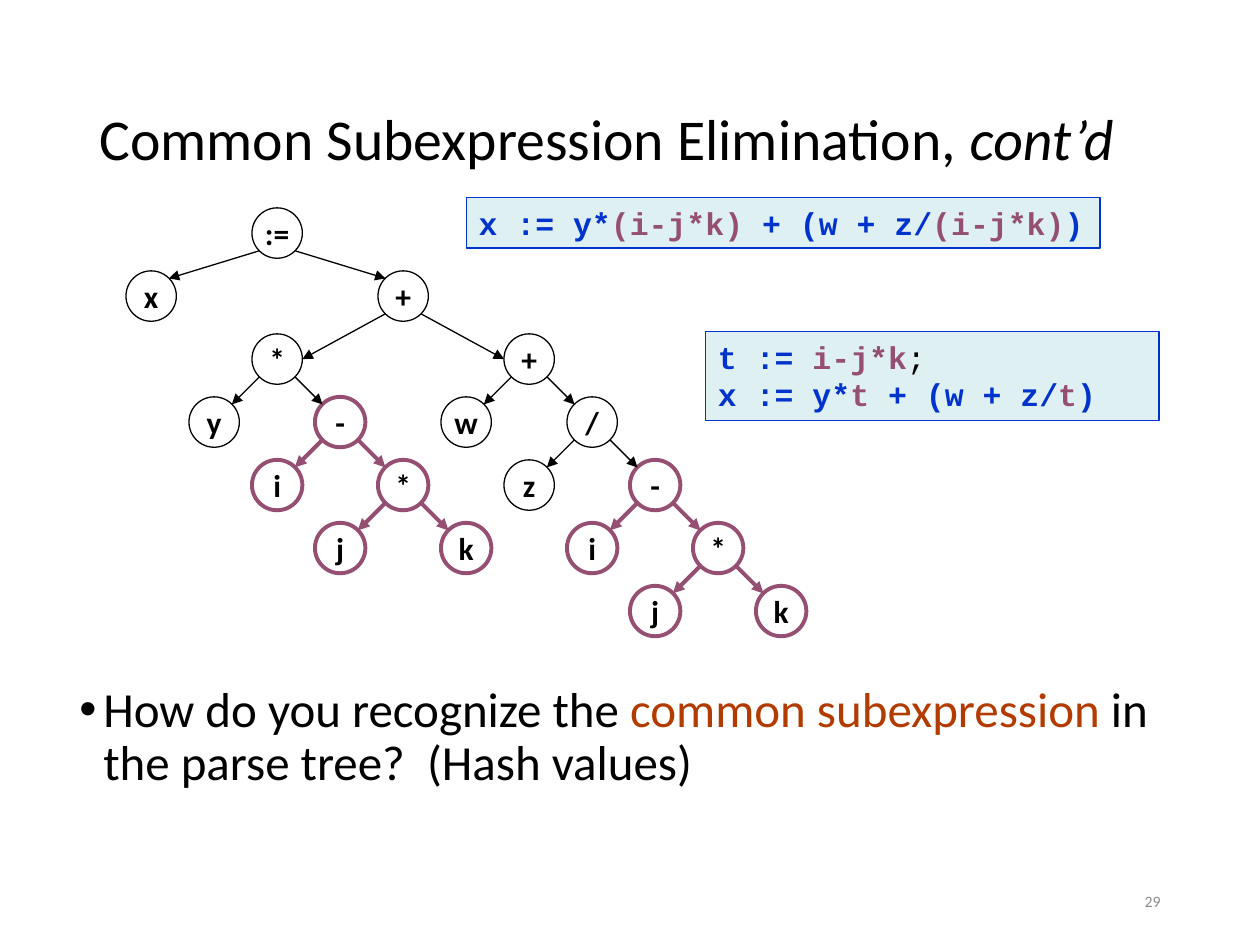
from lxml import etree
from pptx import Presentation
from pptx.dml.color import RGBColor
from pptx.enum.shapes import MSO_CONNECTOR, MSO_SHAPE
from pptx.enum.text import MSO_ANCHOR, MSO_AUTO_SIZE, PP_ALIGN
from pptx.oxml.ns import qn
from pptx.util import Inches, Pt

OVAL, RECTANGLE = MSO_SHAPE.OVAL, MSO_SHAPE.RECTANGLE
STRAIGHT = MSO_CONNECTOR.STRAIGHT
TOP, MIDDLE = MSO_ANCHOR.TOP, MSO_ANCHOR.MIDDLE
LEFT, CENTER, RIGHT = PP_ALIGN.LEFT, PP_ALIGN.CENTER, PP_ALIGN.RIGHT
NO_AUTOFIT = MSO_AUTO_SIZE.NONE

COLORS = {
    "black": "000000",
    "gray": "8C8C8C",
    "orange": "B23C00",
    "blue": "0033CC",
    "plum": "954F72",
    "pale": "DEF0F2",
}


def color(name):
    return RGBColor.from_string(COLORS[name])


def write(shape, lines, size=18, font="Calibri", bold=False, align=LEFT,
          anchor=MIDDLE, wrap=True, line_spacing=None):
    """Fill shape with lines; each line is a list of (text, color, font overrides)."""
    frame = shape.text_frame
    frame.auto_size, frame.word_wrap, frame.vertical_anchor = NO_AUTOFIT, wrap, anchor
    for number, line in enumerate(lines):
        paragraph = frame.paragraphs[0] if number == 0 else frame.add_paragraph()
        paragraph.alignment = align
        paragraph.line_spacing = line_spacing
        for text, color_name, *overrides in line:
            run = paragraph.add_run()
            run.text = text
            run.font.size, run.font.name, run.font.bold = Pt(size), font, bold
            run.font.color.rgb = color(color_name)
            for name, value in (overrides[0] if overrides else {}).items():
                setattr(run.font, name, value)


presentation = Presentation()
presentation.slide_width, presentation.slide_height = Inches(10), Inches(7.5)
slide = presentation.slides.add_slide(presentation.slide_layouts[1])
shapes = slide.shapes

# Title, question and slide number
title, body = shapes.title, slide.placeholders[1]
number_box = shapes.add_textbox(0, 0, 0, 0)
for shape, box in (
    (title, (0.69, 0.4, 8.62, 1.45)),
    (body, (0.53, 5.39, 8.81, 1.5)),
    (number_box, (7.06, 6.95, 2.25, 0.4)),
):
    shape.left, shape.top, shape.width, shape.height = map(Inches, box)

write(title, [[("Common Subexpression Elimination", "black"),
               (", cont’d", "black", {"italic": True})]],
      size=33, line_spacing=0.9)
write(body, [[("How do you recognize the ", "black"),
              ("common subexpression ", "orange"),
              ("in the parse tree?  (Hash values)", "black")]],
      size=28, anchor=TOP, line_spacing=0.9)
write(number_box, [[("29", "gray")]], size=9, align=RIGHT)

question = body.text_frame.paragraphs[0]
question.space_before = Pt(7.5)
properties = question._p.get_or_add_pPr()
properties.set("marL", str(Inches(0.19)))
properties.set("indent", str(-Inches(0.19)))
etree.SubElement(properties, qn("a:buFont"), typeface="Arial")
etree.SubElement(properties, qn("a:buChar"), char="•")

# Parse tree: key -> (label, column, row, parent key, outline color)
nodes = {
    "assign": (":=", 2, 0, None, "black"),
    "x": ("x", 0, 1, "assign", "black"),
    "sum": ("+", 4, 1, "assign", "black"),
    "product": ("*", 2, 2, "sum", "black"),
    "y": ("y", 1, 3, "product", "black"),
    "inner sum": ("+", 6, 2, "sum", "black"),
    "w": ("w", 5, 3, "inner sum", "black"),
    "quotient": ("/", 7, 3, "inner sum", "black"),
    "z": ("z", 6, 4, "quotient", "black"),
}
# The common subexpression i-j*k hangs below two different parents
for parent, column, row in (("product", 3, 3), ("quotient", 8, 4)):
    minus, times = parent + " minus", parent + " times"
    nodes[minus] = ("-", column, row, parent, "black")
    nodes[parent + " i"] = ("i", column - 1, row + 1, minus, "plum")
    nodes[times] = ("*", column + 1, row + 1, minus, "plum")
    nodes[parent + " j"] = ("j", column, row + 2, times, "plum")
    nodes[parent + " k"] = ("k", column + 2, row + 2, times, "plum")

STEP = Inches(0.5)
RADIUS = Inches(0.2)
DIAGONAL = Inches(0.14)
FIRST_X, FIRST_Y = Inches(1.2), Inches(1.85)
WIDTHS = {"black": Pt(0.75), "plum": Pt(2.25)}

for label, column, row, parent, edge_color in nodes.values():
    x, y = FIRST_X + column * STEP, FIRST_Y + row * STEP
    outline = "plum" if label == "-" else edge_color
    node = shapes.add_shape(OVAL, x - RADIUS, y - RADIUS, 2 * RADIUS, 2 * RADIUS)
    node.shadow.inherit = False
    node.fill.background()
    node.line.color.rgb, node.line.width = color(outline), WIDTHS[outline]
    write(node, [[(label, "black")]], bold=True, align=CENTER, wrap=False)
    if parent is None:
        continue

    parent_column, parent_row = nodes[parent][1:3]
    side = 1 if column > parent_column else -1
    # Edges into the third level meet the circle at its side
    reach, rise = (RADIUS, 0) if row == 2 else (DIAGONAL, DIAGONAL)
    edge = shapes.add_connector(
        STRAIGHT,
        FIRST_X + parent_column * STEP + side * DIAGONAL,
        FIRST_Y + parent_row * STEP + DIAGONAL,
        x - side * reach, y - rise)
    edge.line.color.rgb, edge.line.width = color(edge_color), WIDTHS[edge_color]
    etree.SubElement(edge.line._get_or_add_ln(), qn("a:tailEnd"), type="triangle")
    etree.SubElement(edge._element.spPr, qn("a:effectLst"))

# Code before and after the elimination
before = [[("x := y*", "blue"), ("(i-j*k)", "plum"), (" + (w + z/", "blue"),
           ("(i-j*k)", "plum"), (")", "blue")]]
after = [
    [("t := ", "blue"), ("i-j*k", "plum"), (";", "black", {"bold": False})],
    [("x := y*", "blue"), ("t", "plum"), (" + (w + z/", "blue"),
     ("t", "plum"), (")", "blue")],
]
for lines, box, wrap in (
    (before, (3.7, 1.57, 5.03, 0.4), False),
    (after, (5.6, 2.63, 3.6, 0.71), True),
):
    code = shapes.add_shape(RECTANGLE, *map(Inches, box))
    code.shadow.inherit = False
    code.fill.solid()
    code.fill.fore_color.rgb = color("pale")
    code.line.color.rgb, code.line.width = color("blue"), Pt(0.75)
    write(code, lines, font="Courier New", bold=True, anchor=TOP, wrap=wrap)

presentation.save("out.pptx")
